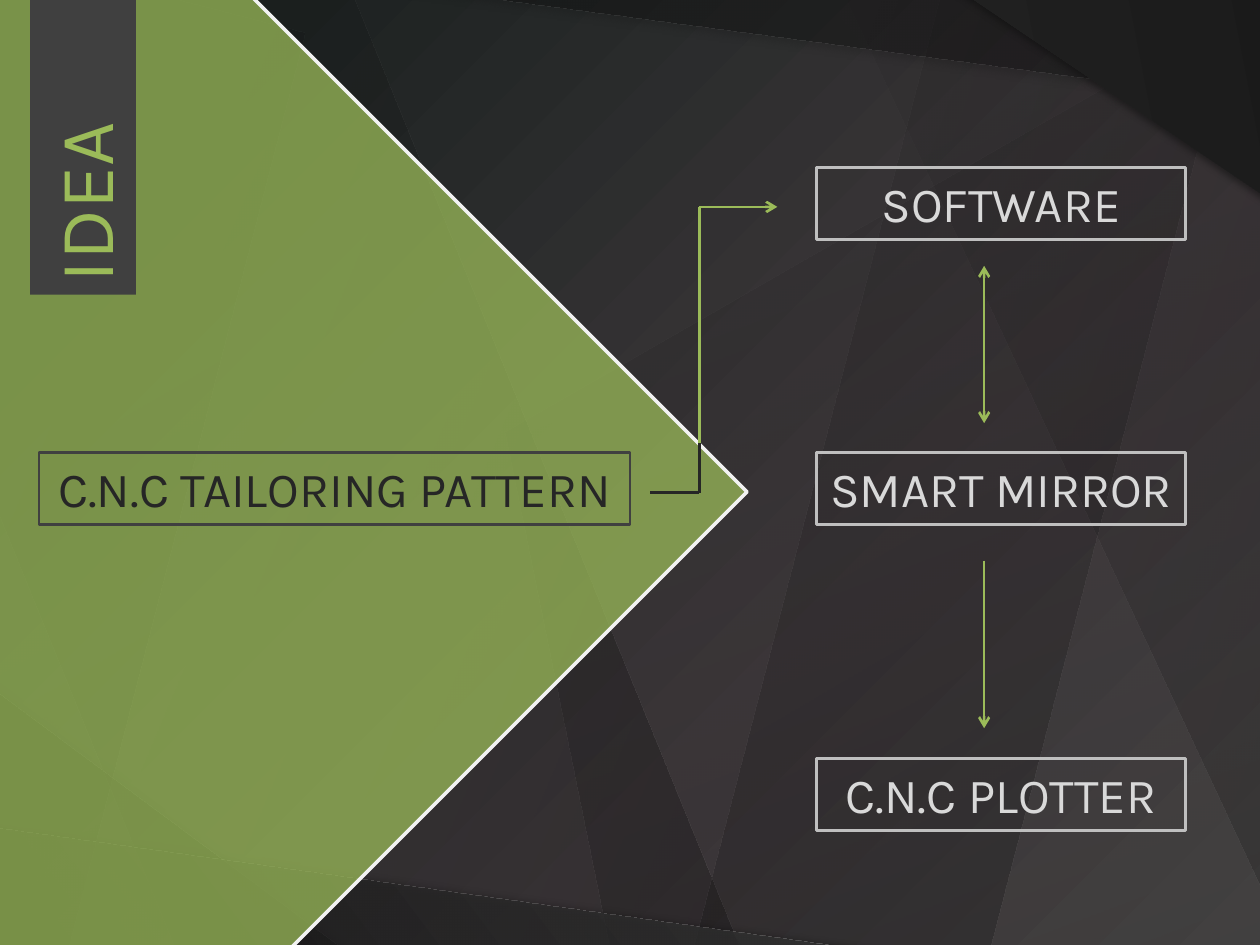
from pptx import Presentation, util as u
from pptx.dml import color as col
from pptx.enum import shapes as shp, text as txt
from pptx.oxml import ns, xmlchemy as xml
from lxml import etree

GREEN, DARK, BLACK, INK, WHITE = "9BBB59", "404040", "0D0D0D", "262626", "F2F2F2"
RECT, GEM = shp.MSO_SHAPE.RECTANGLE, shp.MSO_SHAPE.DIAMOND
FADE = [(0, BLACK, 0), (100, BLACK, 30)]


def hue(code):
    return col.RGBColor.from_string(code)


def put(thing, **vals):
    for key, val in vals.items():
        setattr(thing, key, val)


def add(top, tag, **vals):
    return etree.SubElement(top, ns.qn(tag), {k: str(v) for k, v in vals.items()})


def tone(top, code, clear=100):
    node = add(top, "a:srgbClr", val=code)
    if clear < 100:
        add(node, "a:alpha", val=clear * 1000)


def blend(fill, root, stops):
    fill.gradient()
    fill.gradient_angle = 315
    steps = root.find(".//" + ns.qn("a:gsLst"))
    for old in list(steps):
        steps.remove(old)
    for pos, code, clear in stops:
        tone(add(steps, "a:gs", pos=pos * 1000), code, clear)


def shade(part, code, clear, turn):
    fx = part._element.spPr.find(ns.qn("a:effectLst"))
    drop = add(fx, "a:outerShdw", blurRad=u.Pt(4), dist=u.Pt(3), dir=turn * 60000,
               algn="t", rotWithShape=0)
    tone(drop, code, clear)


def form(slide, kind, box, spin=0):
    part = slide.shapes.add_shape(kind, *map(u.Cm, box))
    part.rotation = spin
    part.shadow.inherit = False
    part.line.fill.background()
    return part


def edge(line, code, wide):
    line.color.rgb = hue(code)
    line.width = u.Pt(wide)


def write(part, words, size, code, side):
    frame = part.text_frame
    put(frame, word_wrap=False, auto_size=txt.MSO_AUTO_SIZE.NONE,
        vertical_anchor=txt.MSO_ANCHOR.TOP)
    para = frame.paragraphs[0]
    para.alignment = side
    run = para.add_run()
    run.text = words
    put(run.font, name="Karla", size=u.Pt(size))
    run.font.color.rgb = hue(code)


def label(slide, box, words, rim, code):
    part = form(slide, RECT, box)
    part.fill.background()
    edge(part.line, rim, 1.5)
    write(part, words, 28, code, txt.PP_ALIGN.CENTER)


def link(slide, start, end, code=GREEN, tips=()):
    line = slide.shapes.add_connector(shp.MSO_CONNECTOR.STRAIGHT,
                                      *map(u.Cm, (*start, *end)))
    edge(line.line, code, 1.5)
    add(line._element.spPr, "a:effectLst")
    for tip in tips:
        add(line.line._get_or_add_ln(), tip, type="arrow")


def backdrop(slide, box):
    x, y, w, h = box
    blend(slide.background.fill, slide._element,
          [(13, "1D2221", 100), (67, "423C3F", 100), (100, "504E4E", 100)])
    long, slim = 24.26, 5.77
    low, side = (BLACK, 51, 90), ("000000", 40, 0)
    shards = [
        (RECT, -6.81, -0.99, 10.08, long, 14.5, FADE, None),
        (RECT, 0.38, -1.83, 10.54, long, 337.9, FADE, None),
        (RECT, 21.44, -3.66, 7.9, long, 335, FADE, None),
        (RECT, 16.43, -2.06, slim, long, 14.5, FADE, None),
        (GEM, 9.22, -2.08, 22.1, 30.66, 24.3, FADE, None),
        (RECT, 15.01, -14, slim, long, 277.6, [(0, BLACK, 32), (100, BLACK, 30)], low),
        (RECT, 23.14, -11.3, slim, long, 304, [(0, INK, 100), (100, BLACK, 100)], low),
        (RECT, -2.03, 6.1, slim, long, 126.6, [(0, BLACK, 35), (100, BLACK, 30)], side),
        (RECT, 7.49, 8.94, slim, long, 98, [(0, DARK, 100), (100, BLACK, 30)], side),
    ]
    for kind, dx, dy, wide, tall, spin, stops, drop in shards:
        part = form(slide, kind, (x + dx, y + dy, wide, tall), spin)
        blend(part.fill, part._element, stops)
        if drop:
            shade(part, *drop)


def panel(slide, box):
    x, y, w, h = box
    gem = form(slide, GEM, box)
    gem.fill.solid()
    gem.fill.fore_color.rgb = hue(GREEN)
    add(gem._element.spPr.find(".//" + ns.qn("a:srgbClr")), "a:alpha", val=74000)
    edge(gem.line, WHITE, 2)
    tab = form(slide, RECT, (x + 9.63, y + 4.88, 6.35, 2.13), 270)
    tab.fill.solid()
    tab.fill.fore_color.rgb = hue(DARK)
    write(tab, "IDEA", 44, GREEN, txt.PP_ALIGN.LEFT)
    label(slide, (x + 11.92, y + 12.3, 11.91, 1.45), "C.N.C TAILORING PATTERN", DARK, INK)


def flow(slide, box):
    x, y, w, h = box
    wide, tall = 7.44, 1.45
    left = x + w - wide
    for words, dy in (("SOFTWARE", 0), ("SMART MIRROR", 5.74), ("C.N.C PLOTTER", h - tall)):
        label(slide, (left, y + dy, wide, tall), words, "BFBFBF", "D9D9D9")
    bend, high, base = x + 0.99, y + 0.79, y + 6.55
    mid = left + 3.38
    head, tail = "a:headEnd", "a:tailEnd"
    link(slide, (x, base), (bend, base), INK)
    link(slide, (bend, base), (bend, high))
    link(slide, (bend, high), (bend + 1.57, high), tips=[tail])
    link(slide, (mid, y + 7.92), (mid, y + 11.3), tips=[tail])
    link(slide, (mid, y + 1.98), (mid, y + 5.15), tips=[head, tail])
    link(slide, (bend, base), (bend, base - 0.99), INK)


def main():
    deck = Presentation()
    put(deck, slide_width=u.Cm(25.4), slide_height=u.Cm(19.05))
    slide = deck.slides.add_slide(deck.slide_layouts[6])
    backdrop(slide, (0, 0, 25.4, 19.05))
    panel(slide, (-11.13, -3.18, 26.19, 26.19))
    flow(slide, (13.11, 3.38, 10.79, 13.36))
    deck.save("out.pptx")


if __name__ == "__main__":
    main()
